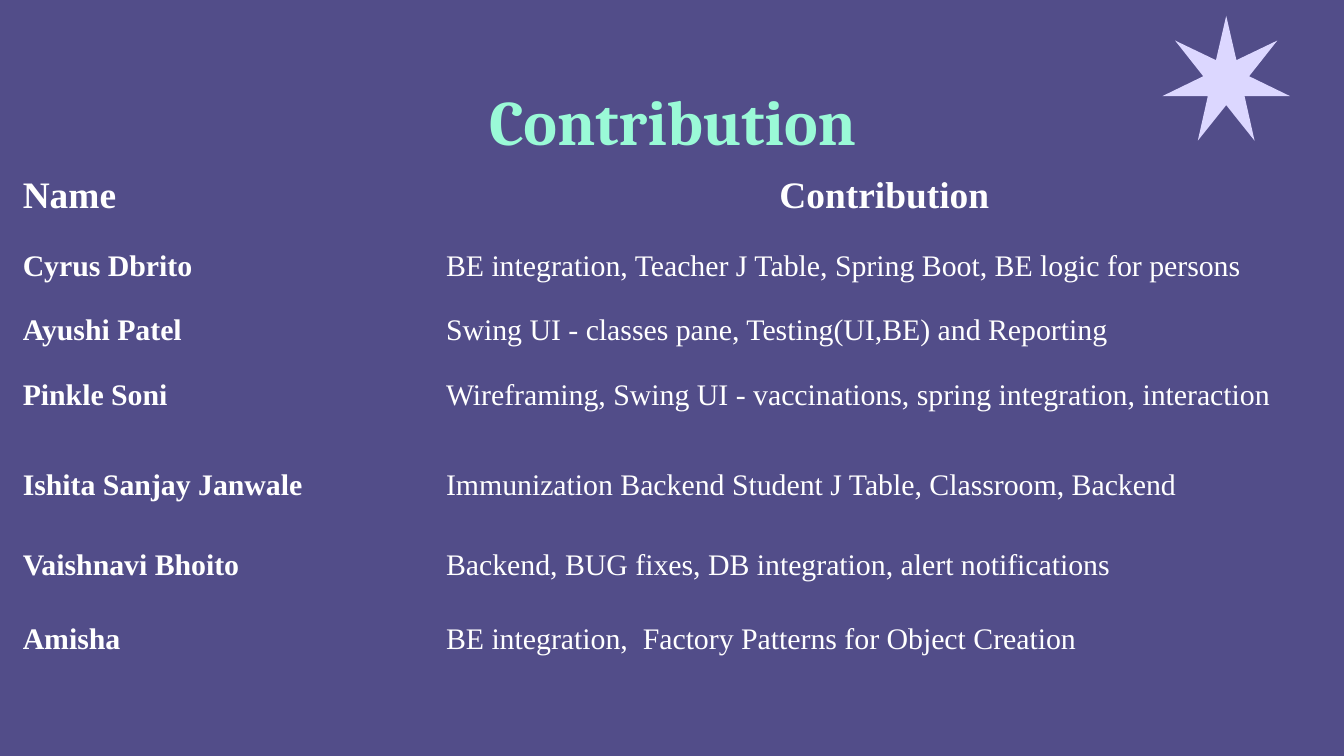
from dataclasses import dataclass

from pptx import Presentation
from pptx import util as u
from pptx.dml.color import RGBColor
from pptx.enum import shapes, text
from pptx.oxml.ns import qn


@dataclass(frozen=True)
class Theme:
    background: str = "524D89"
    star: str = "DCD7FF"
    title: str = "9AFAD7"
    body: str = "FFFFFF"
    title_font: str = "Cambria"
    body_font: str = "Times New Roman"
    title_size: int = 34
    header_size: int = 20
    body_size: int = 16


THEME = Theme()
INSET = u.Cm(0.25)
NO_GRID_STYLE = "{2D5ABB26-0587-4C30-8999-92F81FD0307C}"
COLUMN_WIDTHS = (8, 17.07)
ROW_HEIGHTS = (1.42, 1.07, 0.99, 1.7, 1.52, 1.4, 1.3)
CONTRIBUTIONS = (
    ("Name", "Contribution"),
    ("Cyrus Dbrito", "BE integration, Teacher J Table, Spring Boot, BE logic for persons"),
    ("Ayushi Patel", "Swing UI - classes pane, Testing(UI,BE) and Reporting"),
    ("Pinkle Soni", "Wireframing, Swing UI - vaccinations, spring integration, interaction"),
    ("Ishita Sanjay Janwale", "Immunization Backend Student J Table, Classroom, Backend"),
    ("Vaishnavi Bhoito", "Backend, BUG fixes, DB integration, alert notifications"),
    ("Amisha", "BE integration,  Factory Patterns for Object Creation"),
)


def paint(fill, color):
    fill.solid()
    fill.fore_color.rgb = RGBColor.from_string(color)


def style_font(font, name, size, color, bold):
    font.name, font.size, font.bold = name, u.Pt(size), bold
    font.color.rgb = RGBColor.from_string(color)


def set_margins(holder):
    holder.margin_left = holder.margin_right = INSET
    holder.margin_top = holder.margin_bottom = INSET


def add_star(slide):
    star = slide.shapes.add_shape(
        shapes.MSO_SHAPE.STAR_7_POINT, u.Cm(21.97), u.Cm(0.3), u.Cm(2.41), u.Cm(2.36))
    star.adjustments[0] = 0.18
    star.shadow.inherit = False
    paint(star.fill, THEME.star)
    star.line.fill.background()


def set_title(slide, wording):
    title = slide.shapes.title
    title.left, title.top = u.Cm(2.23), u.Cm(1.75)
    title.width, title.height = u.Cm(20.96), u.Cm(1.04)
    frame = title.text_frame
    frame.text = wording
    frame.auto_size = text.MSO_AUTO_SIZE.NONE
    frame.vertical_anchor = text.MSO_ANCHOR.MIDDLE
    set_margins(frame)
    heading = frame.paragraphs[0]
    heading.alignment = text.PP_ALIGN.CENTER
    style_font(heading.font, THEME.title_font, THEME.title_size, THEME.title, True)


def fill_cell(cell, wording, size, bold, alignment):
    cell.text = wording
    cell.fill.background()
    set_margins(cell)
    entry = cell.text_frame.paragraphs[0]
    entry.alignment = alignment
    entry.line_spacing = 1.15
    style_font(entry.font, THEME.body_font, size, THEME.body, bold)


def add_contributions(slide):
    table = slide.shapes.add_table(
        len(CONTRIBUTIONS), len(COLUMN_WIDTHS), u.Cm(0.18), u.Cm(2.95),
        u.Cm(sum(COLUMN_WIDTHS)), u.Cm(sum(ROW_HEIGHTS))).table
    table.first_row = table.horz_banding = False
    table._tbl.tblPr.find(qn("a:tableStyleId")).text = NO_GRID_STYLE
    for column, width in zip(table.columns, COLUMN_WIDTHS):
        column.width = u.Cm(width)
    for r, (height, entries) in enumerate(zip(ROW_HEIGHTS, CONTRIBUTIONS)):
        table.rows[r].height = u.Cm(height)
        header = r == 0
        size = THEME.header_size if header else THEME.body_size
        for c, wording in enumerate(entries):
            centred = header and c == 1
            alignment = text.PP_ALIGN.CENTER if centred else text.PP_ALIGN.LEFT
            fill_cell(table.cell(r, c), wording, size, header or c == 0, alignment)


def main():
    deck = Presentation()
    deck.slide_width, deck.slide_height = u.Cm(25.4), u.Cm(14.29)
    slide = deck.slides.add_slide(deck.slide_layouts.get_by_name("Title Only"))
    paint(slide.background.fill, THEME.background)

    # Decoration, heading and table of people
    add_star(slide)
    set_title(slide, "Contribution")
    add_contributions(slide)

    deck.save("out.pptx")


if __name__ == "__main__":
    main()
